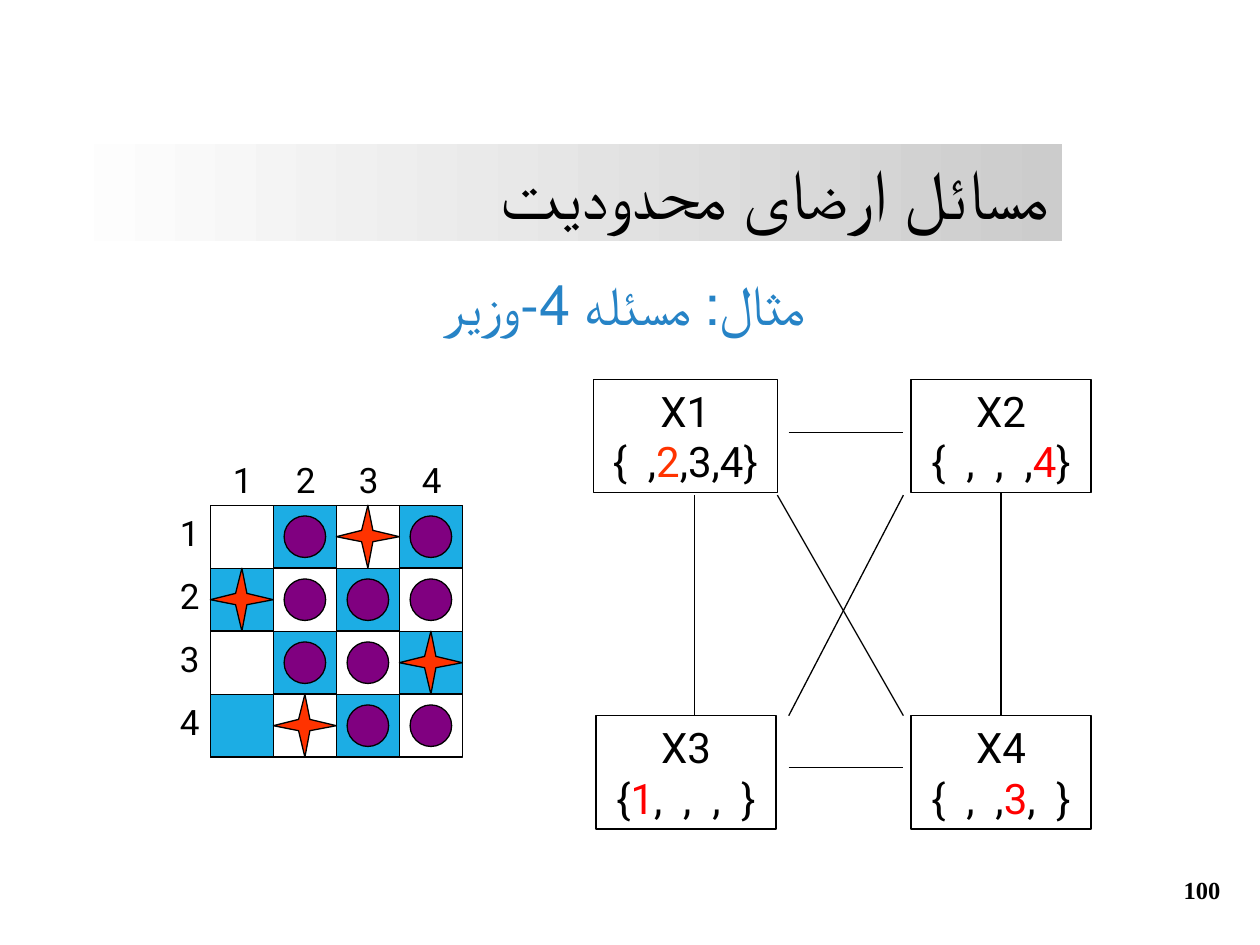
from dataclasses import dataclass

from lxml.etree import SubElement
from pptx import Presentation
from pptx.dml.color import RGBColor
from pptx.enum.shapes import MSO_CONNECTOR, MSO_SHAPE
from pptx.enum.text import MSO_ANCHOR, MSO_AUTO_SIZE, PP_ALIGN
from pptx.oxml.ns import qn
from pptx.util import Inches, Pt


@dataclass(frozen=True)
class Theme:
    ink: str = "000000"
    tile: str = "1CADE4"
    queen: str = "FF3300"
    red: str = "FF0000"
    dot: str = "800080"
    lead: str = "2683C6"
    fade: tuple = ("FFFFFF", "CCCCCC")
    line: float = 0.75
    title: int = 40
    sub: int = 32
    node: int = 24
    label: int = 20
    page: int = 14
    sans: str = "Roboto"
    serif: str = "Times New Roman"
    mono: str = "Noto Sans Mono"


LOOK = Theme()
LEFT, TOP, CELL = 1.67, 4.01, 0.5
DOT = 0.33
# Q is a queen, o a struck-out square
BOARD = (".oQo", "Qooo", ".ooQ", ".Qoo")
STAR = ((0, 0.25), (0.2, 0.2), (0.25, 0), (0.29, 0.2),
        (0.5, 0.25), (0.29, 0.29), (0.25, 0.5), (0.2, 0.29))
NODES = {
    "X1": (4.71, 3.01, 1.46, ("{  ,", "2", ",3,4}"), LOOK.queen),
    "X3": (4.73, 5.68, 1.43, ("{", "1", ",  ,  ,  }"), LOOK.red),
    "X4": (7.23, 5.68, 1.43, ("{  ,  ,", "3", ",  }"), LOOK.red),
    "X2": (7.23, 3.01, 1.43, ("{  ,  ,  ,", "4", "}"), LOOK.red),
}
LINKS = ((6.26, 3.43, 7.17, 3.43), (5.51, 3.93, 5.51, 5.68),
         (6.26, 6.09, 7.17, 6.09), (6.17, 3.93, 7.17, 5.68),
         (7.17, 3.93, 6.26, 5.68))


def rgb(code):
    return RGBColor.from_string(code)


def put(item, **vals):
    """Set each named value on the item."""
    for name, val in vals.items():
        setattr(item, name, val)


def paint(shape, fill=None, line=LOOK.ink):
    shape.shadow.inherit = False
    if fill:
        shape.fill.solid()
        shape.fill.fore_color.rgb = rgb(fill)
    else:
        shape.fill.background()
    if line:
        shape.line.color.rgb = rgb(line)
        shape.line.width = Pt(LOOK.line)
    else:
        shape.line.fill.background()


def shape(slide, kind, x, y, w, h, **style):
    item = slide.shapes.add_shape(
        kind, Inches(x), Inches(y), Inches(w), Inches(h))
    paint(item, **style)
    return item


def write(frame, rows, size, font, align=PP_ALIGN.LEFT, bold=False, **vals):
    """Fill a frame; each row is a list of (text, colour) runs."""
    form = dict(word_wrap=True, vertical_anchor=MSO_ANCHOR.TOP,
                auto_size=MSO_AUTO_SIZE.SHAPE_TO_FIT_TEXT)
    put(frame, **(form | vals))
    for i, row in enumerate(rows):
        para = frame.add_paragraph() if i else frame.paragraphs[0]
        para.alignment = align
        for text, tint in row:
            run = para.add_run()
            run.text = text
            put(run.font, size=Pt(size), name=font, bold=bold)
            run.font.color.rgb = rgb(tint)


def label(slide, text, x, y, w, h, size, font, tint=LOOK.ink, **vals):
    box = slide.shapes.add_textbox(
        Inches(x), Inches(y), Inches(w), Inches(h))
    write(box.text_frame, [[(text, tint)]], size, font, **vals)
    return box


def star(slide, x, y):
    pts = [(Inches(x + dx), Inches(y + dy)) for dx, dy in STAR]
    path = slide.shapes.build_freeform(*pts[0])
    path.add_line_segments(pts[1:], close=True)
    paint(path.convert_to_shape(), LOOK.queen)


def board(slide):
    side = CELL * len(BOARD)
    shape(slide, MSO_SHAPE.RECTANGLE, LEFT, TOP, side, side)
    cells = [(LEFT + c * CELL, TOP + r * CELL, (r + c) % 2, mark)
             for r, row in enumerate(BOARD) for c, mark in enumerate(row)]
    for x, y, dark, _ in cells:
        if dark:
            shape(slide, MSO_SHAPE.RECTANGLE, x, y, CELL, CELL,
                  fill=LOOK.tile)
    for i in range(len(BOARD)):
        step = i * CELL
        for x, y in ((1.33, TOP + step), (1.75 + step, 3.59)):
            label(slide, str(i + 1), x, y, 0.36, 0.44,
                  LOOK.label, LOOK.sans, word_wrap=False)
    gap = (CELL - DOT) / 2
    for x, y, _, mark in cells:
        if mark == "Q":
            star(slide, x, y)
        elif mark == "o":
            shape(slide, MSO_SHAPE.OVAL, x + gap, y + gap, DOT, DOT,
                  fill=LOOK.dot)


def node(slide, name, x, y, w, parts, tint):
    item = shape(slide, MSO_SHAPE.RECTANGLE, x, y, w, 0.9)
    tints = (LOOK.ink, tint, LOOK.ink)
    write(item.text_frame, [[(name, LOOK.ink)], list(zip(parts, tints))],
          LOOK.node, LOOK.sans, align=PP_ALIGN.CENTER, word_wrap=False)
    return item


def link(slide, *ends):
    line = slide.shapes.add_connector(
        MSO_CONNECTOR.STRAIGHT, *(Inches(e) for e in ends))
    line.line.color.rgb = rgb(LOOK.ink)
    line.line.width = Pt(LOOK.line)
    SubElement(line._element.spPr, qn("a:effectLst"))
    return line


def graph(slide):
    nodes = {name: node(slide, name, *data) for name, data in NODES.items()}
    for ends in LINKS:
        link(slide, *ends)
    line = link(slide, 7.92, 3.93, 7.92, 5.68)
    line.begin_connect(nodes["X2"], 2)
    line.end_connect(nodes["X4"], 0)


def title(slide):
    bar = shape(slide, MSO_SHAPE.RECTANGLE, 0.43, 1.14, 8, 0.77, line=None)
    bar.fill.gradient()
    bar.fill.gradient_angle = 0
    for stop, tint in zip(bar.fill.gradient_stops, LOOK.fade):
        stop.color.rgb = rgb(tint)
    write(bar.text_frame, [[("مسائل ارضای محدوديت", LOOK.ink)]],
          LOOK.title, LOOK.serif, align=PP_ALIGN.RIGHT)


def main():
    deck = Presentation()
    put(deck, slide_width=Inches(10), slide_height=Inches(7.5))
    slide = deck.slides.add_slide(deck.slide_layouts[6])
    label(slide, "100", 9.28, 6.86, 0.52, 0.4, LOOK.page, LOOK.serif,
          align=PP_ALIGN.CENTER, bold=True, auto_size=MSO_AUTO_SIZE.NONE,
          vertical_anchor=MSO_ANCHOR.MIDDLE)
    board(slide)
    graph(slide)
    sub = label(slide, "مثال: مسئله 4-وزير", 0.98, 2.09, 7.95, 0.64,
                LOOK.sub, LOOK.mono, LOOK.lead, align=PP_ALIGN.CENTER)
    sub.text_frame.paragraphs[0]._p.get_or_add_pPr().set("rtl", "1")
    title(slide)
    deck.save("out.pptx")


if __name__ == "__main__":
    main()
